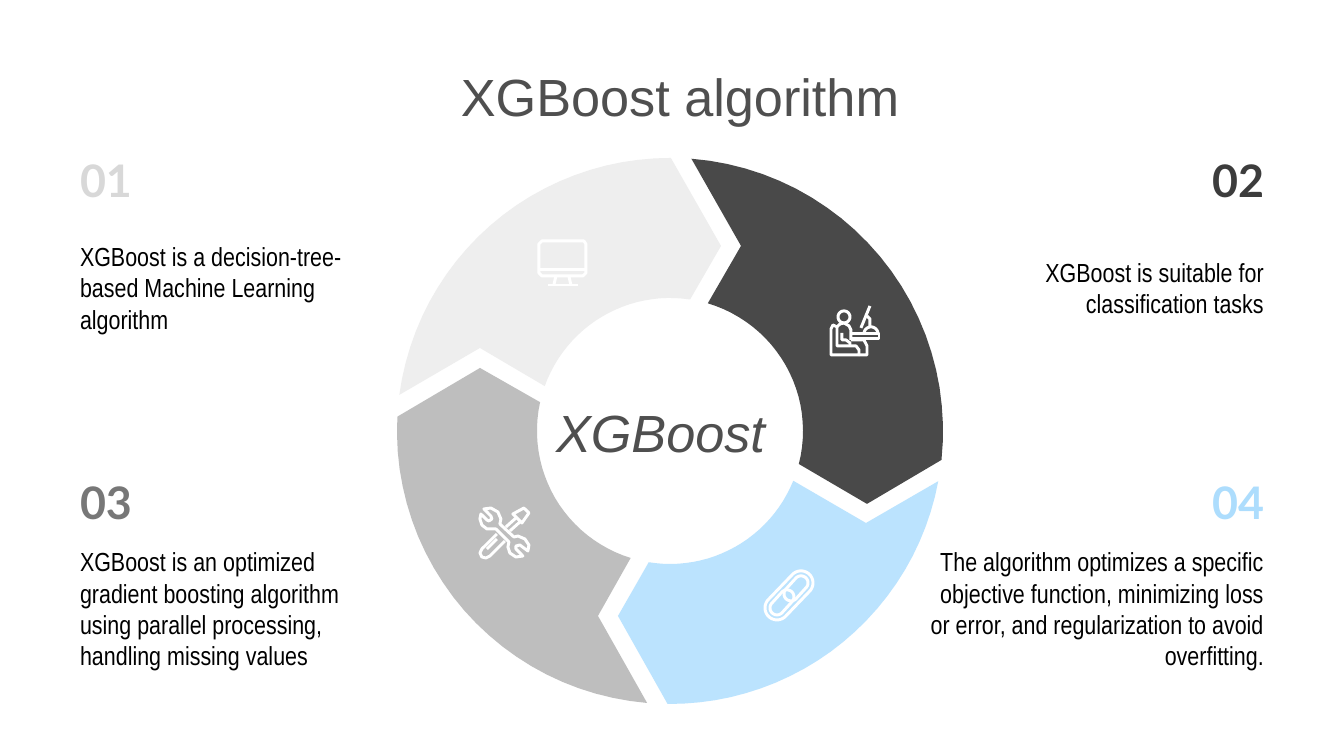
from dataclasses import dataclass
from math import cos, radians, sin

from pptx import Presentation
from pptx.dml.color import RGBColor
from pptx.enum.text import MSO_ANCHOR, PP_ALIGN
from pptx.util import Pt

LEFT, CENTER, RIGHT = PP_ALIGN.LEFT, PP_ALIGN.CENTER, PP_ALIGN.RIGHT
TOP, MIDDLE = MSO_ANCHOR.TOP, MSO_ANCHOR.MIDDLE
PX = 914400 / 134.4


@dataclass(frozen=True)
class Theme:
    heading_font: str = "Arial"
    body_font: str = "Arial Narrow"
    number_font: str = "Lato"
    heading: str = "4F4F4F"
    body: str = "000000"
    icon: str = "FFFFFF"
    heading_size: int = 28
    number_size: int = 24
    body_size: int = 14
    icon_line: float = 1.6


THEME = Theme()

NOTES = [
    ("01", "D8D8D8", (67, 159, 308), 86, LEFT,
     "XGBoost is a decision-tree-based Machine Learning algorithm"),
    ("02", "3C3C3C", (984, 159, 293), 86, RIGHT,
     "XGBoost is suitable for classification tasks"),
    ("03", "777777", (67, 481, 308), 85, LEFT,
     "XGBoost is an optimized gradient boosting algorithm using parallel processing, handling missing values"),
    ("04", "ADDDFD", (905, 481, 372), 85, RIGHT,
     "The algorithm optimizes a specific objective function, minimizing loss or error, "
     "and regularization to avoid overfitting."),
]

SEGMENTS = [
    ("494949", (-85.5, 6.1), (-73.5, 14.4), (71, -185), (197, 73)),
    ("BBE3FE", (10.6, 90.5), (22, 99.2), (196, 92), (-52, 185)),
    ("BEBEBE", (94.8, 183), (107.2, 192.5), (-72, 185), (-190, -63)),
    ("EEEEEE", (187.6, 270.2), (199.7, 278.7), (-190, -83), (51, -185)),
]


def px(n):
    return round(n * PX)


def rgb(value):
    return RGBColor.from_string(value)


def arc(cx, cy, radius, start, end, steps=24):
    angles = [radians(start + (end - start) * i / steps) for i in range(steps + 1)]
    return [(cx + radius * cos(a), cy + radius * sin(a)) for a in angles]


def capsule(x1, y1, x2, y2, radius):
    pts = arc(x1, y1, radius, -135, 45) + arc(x2, y2, radius, 45, 225)
    return pts + pts[:1]


MONITOR = [
    [(4, 1), (46, 1), (48, 4), (48, 33), (45, 36), (4, 36), (1, 33), (1, 4), (4, 1)],
    [(1, 30), (48, 30)],
    [(18, 36), (16, 45)],
    [(31, 36), (33, 45)],
    [(10, 45), (40, 45)],
]
MICROSCOPE = [
    arc(15, 12, 6, 0, 360),
    [(8, 22), (11, 19), (15, 18), (20, 21), (22, 25), (22, 35)],
    [(2, 50), (2, 24), (4, 20), (8, 22), (8, 41), (27, 41), (30, 45), (30, 50), (2, 50)],
    [(13, 28), (13, 35), (17, 35), (21, 38), (21, 40)],
    [(22, 35), (35, 35), (38, 41), (38, 50), (30, 50)],
    [(23, 29), (50, 29), (50, 34), (23, 34)],
    [(41, 1), (32, 23)],
    [(38, 11), (41, 14), (41, 22)],
    arc(42, 29, 7, 180, 360),
]
TOOLS = [
    [(6, 2), (13, 9), (14, 12), (11, 14), (9, 13), (3, 7), (2, 12), (4, 18), (9, 22),
     (16, 22), (18, 22), (31, 35), (30, 40), (32, 46), (38, 50), (45, 49), (38, 42),
     (38, 39), (42, 38), (50, 44), (51, 38), (47, 32), (40, 29), (36, 30), (22, 17),
     (23, 12), (20, 5), (13, 1), (6, 2)],
    [(35, 7), (46, 1), (51, 6), (44, 16), (35, 7)],
    [(38, 11), (28, 20)],
    [(42, 15), (32, 24)],
    [(19, 27), (4, 42), (2, 46), (4, 50), (8, 51), (12, 49), (27, 34)],
    [(19, 32), (9, 42)],
]
CHAIN = [
    capsule(40, 13, 16, 38, 12),
    capsule(40, 13, 30, 24, 7),
    capsule(26, 27, 16, 38, 7),
]
ICONS = [
    (MONITOR, (538, 240)),
    (MICROSCOPE, (829, 305)),
    (TOOLS, (478, 507)),
    (CHAIN, (761, 570)),
]


def write(sp, text, font, size, color, align=LEFT, anchor=TOP, bold=False, italic=False):
    tf = sp.text_frame
    tf.word_wrap = True
    tf.vertical_anchor = anchor
    tf.margin_left = tf.margin_right = tf.margin_top = tf.margin_bottom = px(13)
    p = tf.paragraphs[0]
    p.alignment = align
    r = p.add_run()
    r.text = text
    r.font.name, r.font.size = font, Pt(size)
    r.font.bold, r.font.italic = bold, italic
    r.font.color.rgb = rgb(color)


def add_text(s, box, text, **fmt):
    write(s.shapes.add_textbox(*map(px, box)), text, **fmt)


def add_outline(s, contours, origin, closed):
    x, y = origin
    paths = [[(px(x + a), px(y + b)) for a, b in c] for c in contours]
    builder = s.shapes.build_freeform(*paths[0][0])
    for i, path in enumerate(paths):
        if i:
            builder.move_to(*path[0])
        builder.add_line_segments(path[1:], close=closed)
    sp = builder.convert_to_shape()
    sp.shadow.inherit = False
    return sp


def add_title(s, box, text):
    sp = s.shapes.title
    sp.left, sp.top, sp.width, sp.height = map(px, box)
    write(sp, text, THEME.heading_font, THEME.heading_size, THEME.heading, align=CENTER)


def add_note(s, box, drop, number, color, align, text):
    x, y, w = box
    number_w = 90
    number_x = x + w - number_w if align == RIGHT else x
    add_text(s, (number_x, y, number_w, 42), number, font=THEME.number_font,
             size=THEME.number_size, color=color, align=align, anchor=MIDDLE, bold=True)
    text_y = y + drop
    add_text(s, (x, text_y, w, 85), text, font=THEME.body_font,
             size=THEME.body_size, color=THEME.body, align=align, anchor=MIDDLE)


def turn(x, y, degrees):
    c, n = cos(radians(degrees)), sin(radians(degrees))
    return x * c - y * n, x * n + y * c


def add_segment(s, center, radii, color, outer, inner, notch, tip, tilt=45):
    cx, cy = map(px, center)
    pts = arc(0, 0, radii[0], *outer) + [tip] + arc(0, 0, radii[1], *reversed(inner)) + [notch]
    sp = add_outline(s, [[turn(*pt, -tilt) for pt in pts]], center, True)
    dx, dy = turn(sp.left + sp.width / 2 - cx, sp.top + sp.height / 2 - cy, tilt)
    sp.left = round(cx + dx - sp.width / 2)
    sp.top = round(cy + dy - sp.height / 2)
    sp.rotation = tilt
    sp.fill.solid()
    sp.fill.fore_color.rgb = rgb(color)
    sp.line.fill.background()


def add_icon(s, contours, origin):
    sp = add_outline(s, contours, origin, False)
    sp.fill.background()
    sp.line.color.rgb = rgb(THEME.icon)
    sp.line.width = Pt(THEME.icon_line)


def add_ring(s, box):
    x, y, size = box
    outer = size / 2
    for segment in SEGMENTS:
        add_segment(s, (x + outer, y + outer), (outer, 133), *segment)
    add_text(s, (x + 145, y + 229, 237, 85), "XGBoost", font=THEME.heading_font,
             size=THEME.heading_size, color=THEME.heading, align=CENTER, italic=True)
    for contours, (icon_x, icon_y) in ICONS:
        add_icon(s, contours, (icon_x, icon_y))


def main():
    prs = Presentation()
    prs.slide_width, prs.slide_height = px(1344), px(756)
    s = prs.slides.add_slide(prs.slide_layouts[5])
    add_title(s, (114, 51, 1132, 85), "XGBoost algorithm")
    for number, color, box, drop, align, text in NOTES:
        add_note(s, box, drop, number, color, align, text)
    add_ring(s, (397, 158, 546))
    prs.save("out.pptx")


if __name__ == "__main__":
    main()
